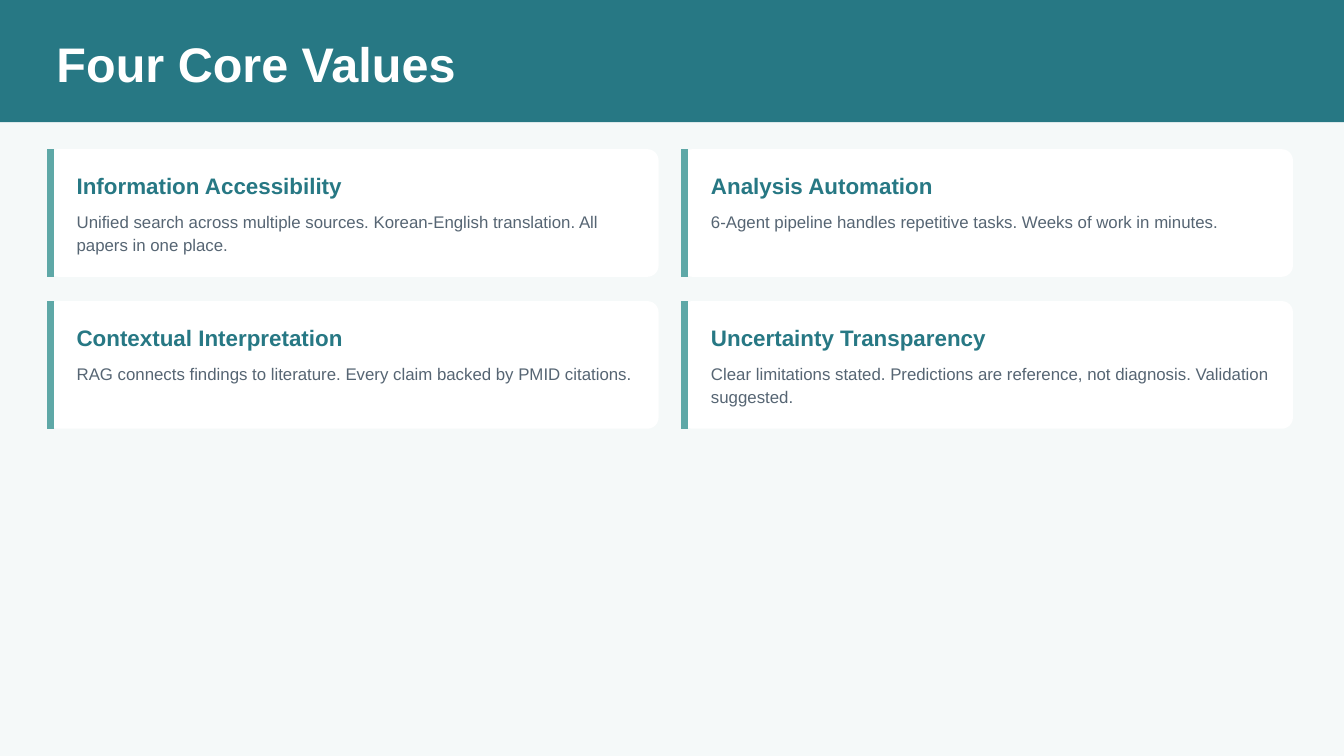
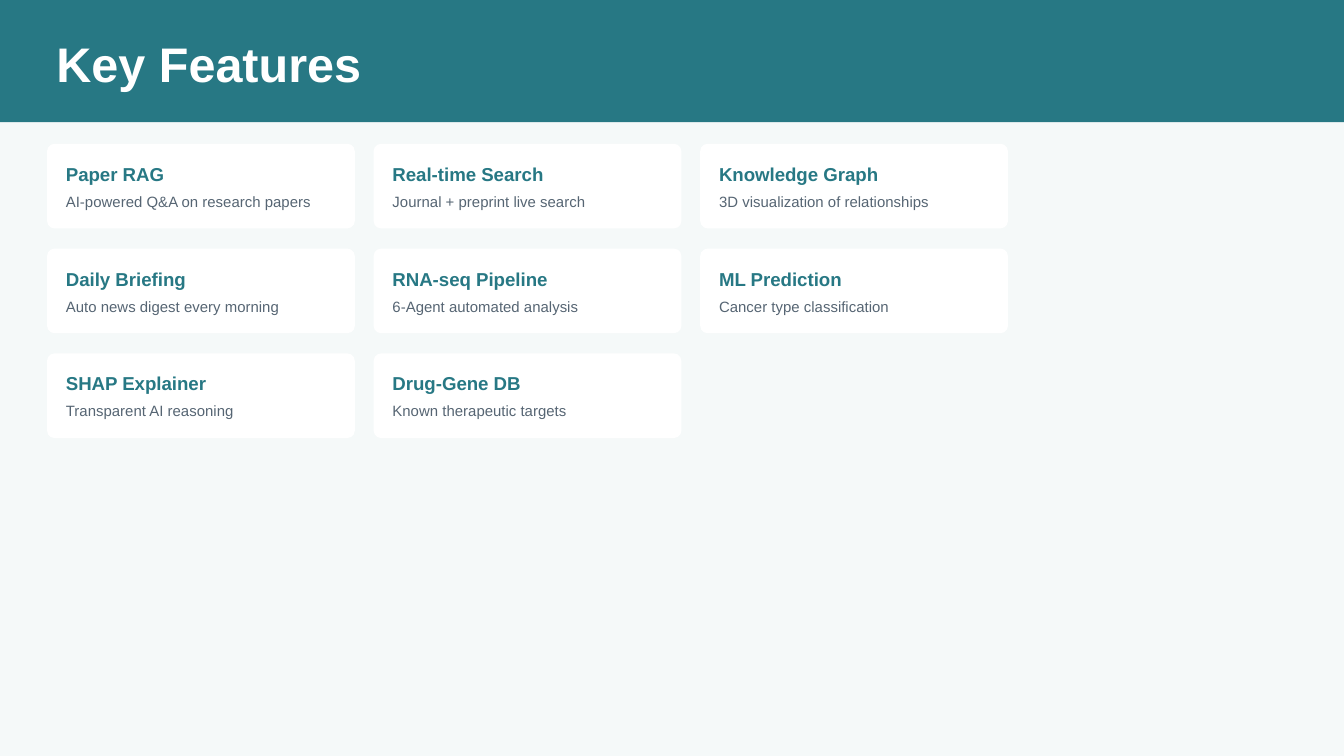
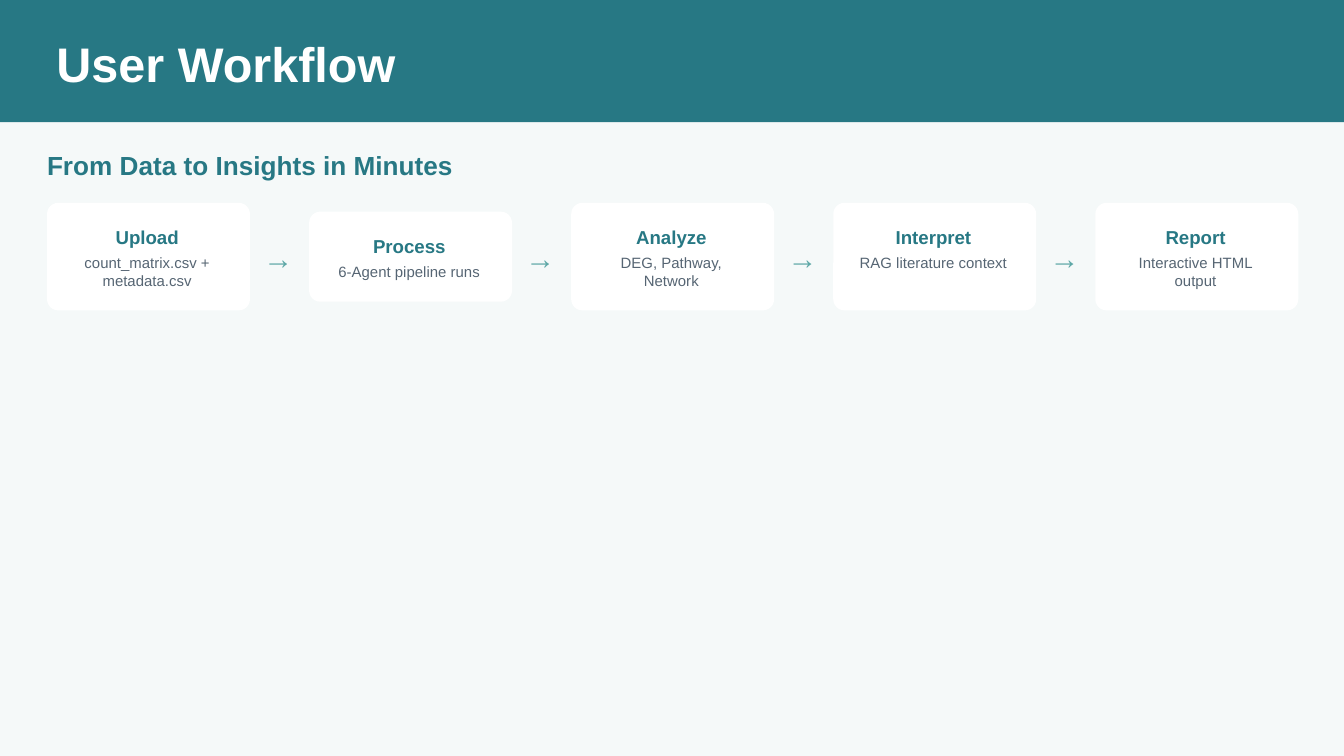
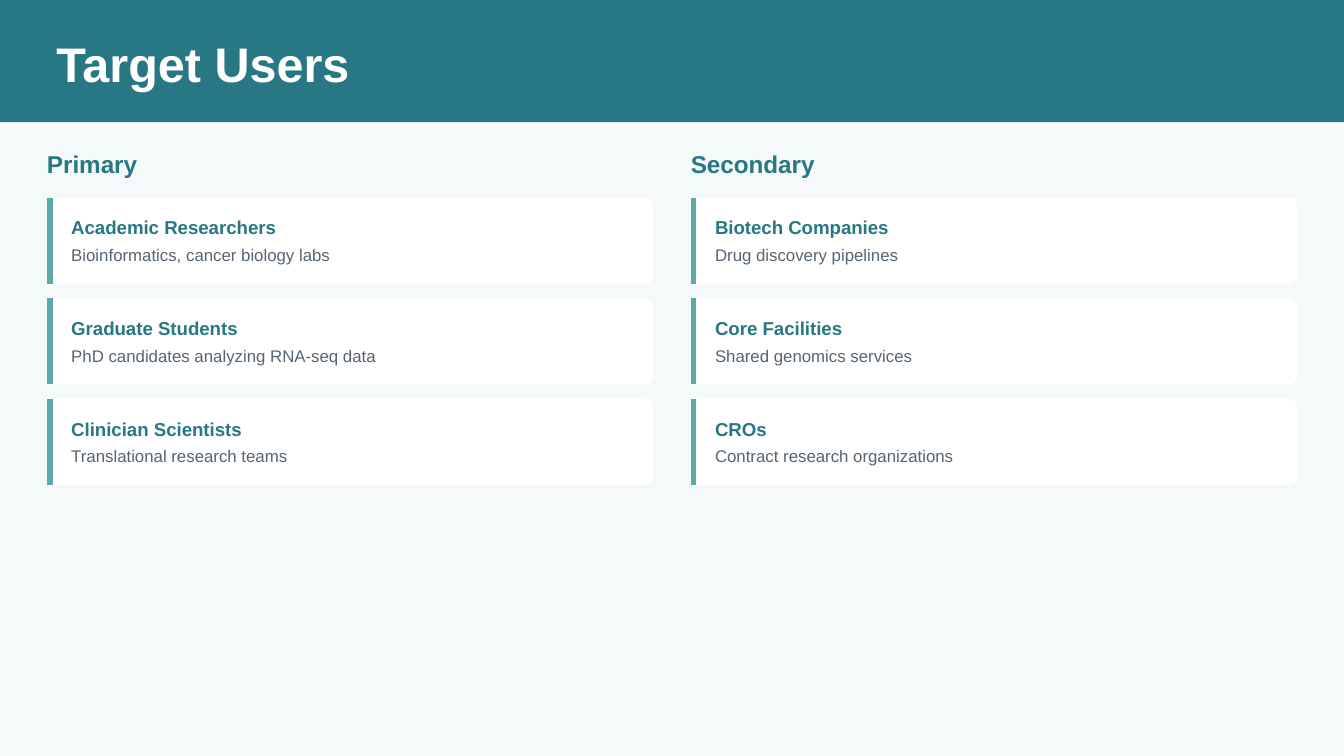
from lxml import etree
from pptx import Presentation
from pptx.dml.color import RGBColor
from pptx.enum.shapes import MSO_CONNECTOR as LINK, MSO_SHAPE as SHAPE
from pptx.enum.text import PP_ALIGN as ALIGN
from pptx.oxml.ns import qn
from pptx.util import Inches, Pt

TEAL = RGBColor(0x27, 0x78, 0x84)
MINT = RGBColor(0x5E, 0xA8, 0xA7)
GRAY = RGBColor(0x56, 0x65, 0x73)
PALE = RGBColor(0xF5, 0xF9, 0xF9)
WHITE = RGBColor(0xFF, 0xFF, 0xFF)
FONT = "Arial"
LEFT = 0.35


def write(slide, words, x, y, w, h, size, color, bold=False, lead=None, align=ALIGN.LEFT):
    """Add one paragraph of text; lead is its line height in points."""
    box = slide.shapes.add_textbox(Inches(x), Inches(y), Inches(w), Inches(h))
    frame = box.text_frame
    frame.word_wrap = True
    frame.margin_left = frame.margin_right = frame.margin_top = frame.margin_bottom = 0
    para = frame.paragraphs[0]
    para.text = words
    para.alignment = align
    if lead:
        para.line_spacing = Pt(lead)
    font = para.font
    font.name, font.size, font.bold = FONT, Pt(size), bold
    font.color.rgb = color


def add_card(slide, x, y, w, h, radius, bar=0):
    """Add a white card; radius and the width of its left bar are in points."""
    card = slide.shapes.add_shape(
        SHAPE.ROUNDED_RECTANGLE, Inches(x), Inches(y), Inches(w), Inches(h))
    card.adjustments[0] = Pt(radius) / Inches(h)
    card.shadow.inherit = False
    card.fill.solid()
    card.fill.fore_color.rgb = WHITE
    card.line.fill.background()
    if bar:
        mid = Inches(x) + Pt(bar) // 2
        line = slide.shapes.add_connector(
            LINK.STRAIGHT, mid, Inches(y), mid, Inches(y + h))
        line.line.color.rgb = MINT
        line.line.width = Pt(bar)
        etree.SubElement(line._element.spPr, qn("a:effectLst"))


deck = Presentation()
deck.slide_width = Inches(10)
deck.slide_height = deck.slide_width * 9 // 16

# Background, band and title of every slide
slides = []
for title in ("Four Core Values", "Key Features", "User Workflow", "Target Users"):
    slide = deck.slides.add_slide(deck.slide_layouts[6])
    slide.background.fill.solid()
    slide.background.fill.fore_color.rgb = PALE
    band = slide.shapes.add_shape(SHAPE.RECTANGLE, 0, 0, deck.slide_width, Inches(0.91))
    band.shadow.inherit = False
    band.fill.solid()
    band.fill.fore_color.rgb = TEAL
    band.line.fill.background()
    write(slide, title, 0.42, 0.25, 9.35, 0.41, 26, WHITE, True)
    slides.append(slide)
core, tools, flow, users = slides

# Four Core Values: two by two
values = [
    ("Information Accessibility",
     "Unified search across multiple sources. Korean-English translation. "
     "All papers in one place."),
    ("Analysis Automation",
     "6-Agent pipeline handles repetitive tasks. Weeks of work in minutes."),
    ("Contextual Interpretation",
     "RAG connects findings to literature. Every claim backed by PMID citations."),
    ("Uncertainty Transparency",
     "Clear limitations stated. Predictions are reference, not diagnosis. "
     "Validation suggested."),
]
for i, (name, about) in enumerate(values):
    row, col = divmod(i, 2)
    x, y = LEFT + 4.72 * col, 1.11 + 1.13 * row
    add_card(core, x, y, 4.55, 0.95, 6, 3.75)
    write(core, name, x + 0.22, y + 0.17, 4.25, 0.19, 12, TEAL, True)
    write(core, about, x + 0.22, y + 0.44, 4.25, 0.35, 9, GRAY, lead=12.6)

# Key Features: three to a row
features = [
    ("Paper RAG", "AI-powered Q&A on research papers"),
    ("Real-time Search", "Journal + preprint live search"),
    ("Knowledge Graph", "3D visualization of relationships"),
    ("Daily Briefing", "Auto news digest every morning"),
    ("RNA-seq Pipeline", "6-Agent automated analysis"),
    ("ML Prediction", "Cancer type classification"),
    ("SHAP Explainer", "Transparent AI reasoning"),
    ("Drug-Gene DB", "Known therapeutic targets"),
]
for i, (name, about) in enumerate(features):
    row, col = divmod(i, 3)
    x, y = LEFT + 2.43 * col, 1.07 + 0.78 * row
    add_card(tools, x, y, 2.29, 0.63, 4)
    write(tools, name, x + 0.14, y + 0.14, 2.05, 0.16, 10, TEAL, True)
    write(tools, about, x + 0.14, y + 0.35, 2.05, 0.14, 8, GRAY, lead=10.4)

# User Workflow: steps centred on one line, with arrows between
write(flow, "From Data to Insights in Minutes", LEFT, 1.11, 9.49, 0.23, 14, TEAL, True)
steps = [
    ("Upload", "count_matrix.csv + metadata.csv", 0.8),
    ("Process", "6-Agent pipeline runs", 0.67),
    ("Analyze", "DEG, Pathway, Network", 0.8),
    ("Interpret", "RAG literature context", 0.8),
    ("Report", "Interactive HTML output", 0.8),
]
for i, (name, about, h) in enumerate(steps):
    x, y = LEFT + 1.95 * i, 1.91 - h / 2
    if i:
        write(flow, "→", x - 0.34, 1.78, 0.23, 0.26, 16, MINT)
    add_card(flow, x, y, 1.51, h, 6)
    write(flow, name, x + 0.19, y + 0.17, 1.11, 0.16, 10, TEAL, True, align=ALIGN.CENTER)
    write(flow, about, x + 0.19, y + 0.38, 1.11, 0.25, 8, GRAY, align=ALIGN.CENTER)

# Target Users: one column per group
groups = {
    "Primary": [
        ("Academic Researchers", "Bioinformatics, cancer biology labs"),
        ("Graduate Students", "PhD candidates analyzing RNA-seq data"),
        ("Clinician Scientists", "Translational research teams"),
    ],
    "Secondary": [
        ("Biotech Companies", "Drug discovery pipelines"),
        ("Core Facilities", "Shared genomics services"),
        ("CROs", "Contract research organizations"),
    ],
}
for col, (group, people) in enumerate(groups.items()):
    x = LEFT + 4.79 * col
    write(users, group, x, 1.11, 4.6, 0.22, 13, TEAL, True)
    for row, (name, about) in enumerate(people):
        y = 1.47 + 0.75 * row
        add_card(users, x, y, 4.51, 0.64, 4, 3)
        write(users, name, x + 0.18, y + 0.14, 4.28, 0.16, 10, TEAL, True)
        write(users, about, x + 0.18, y + 0.35, 4.28, 0.15, 9, GRAY)

deck.save("out.pptx")
